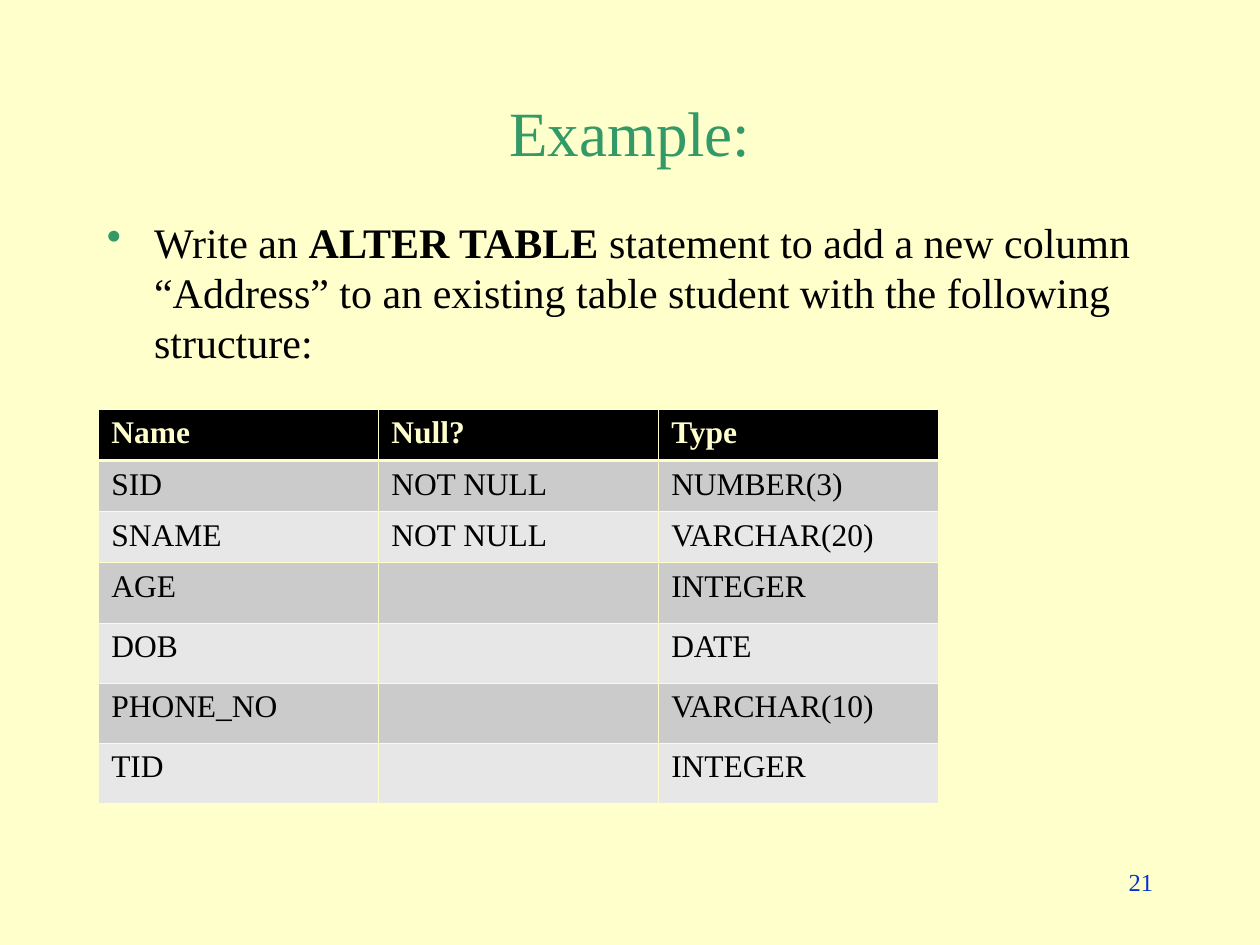
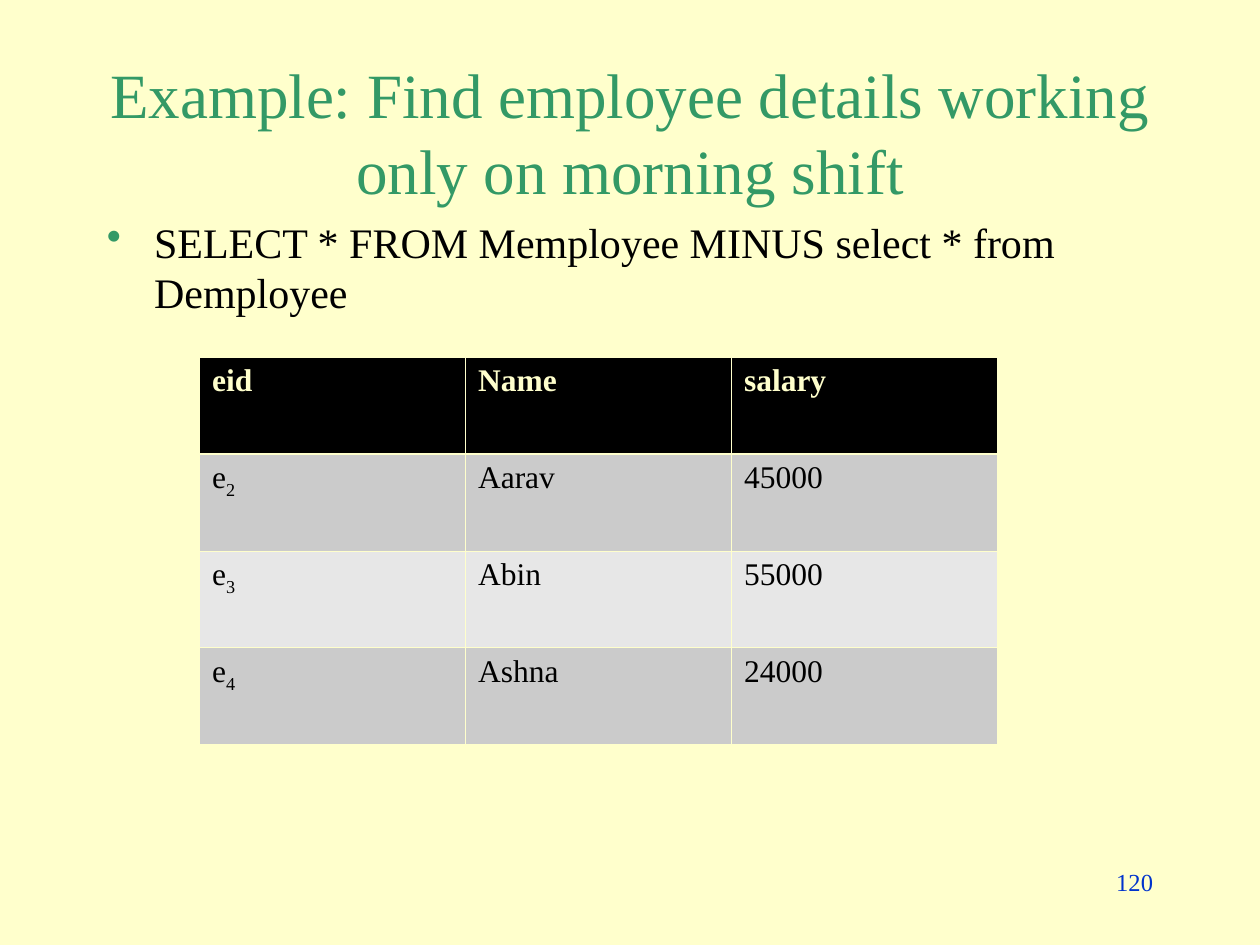
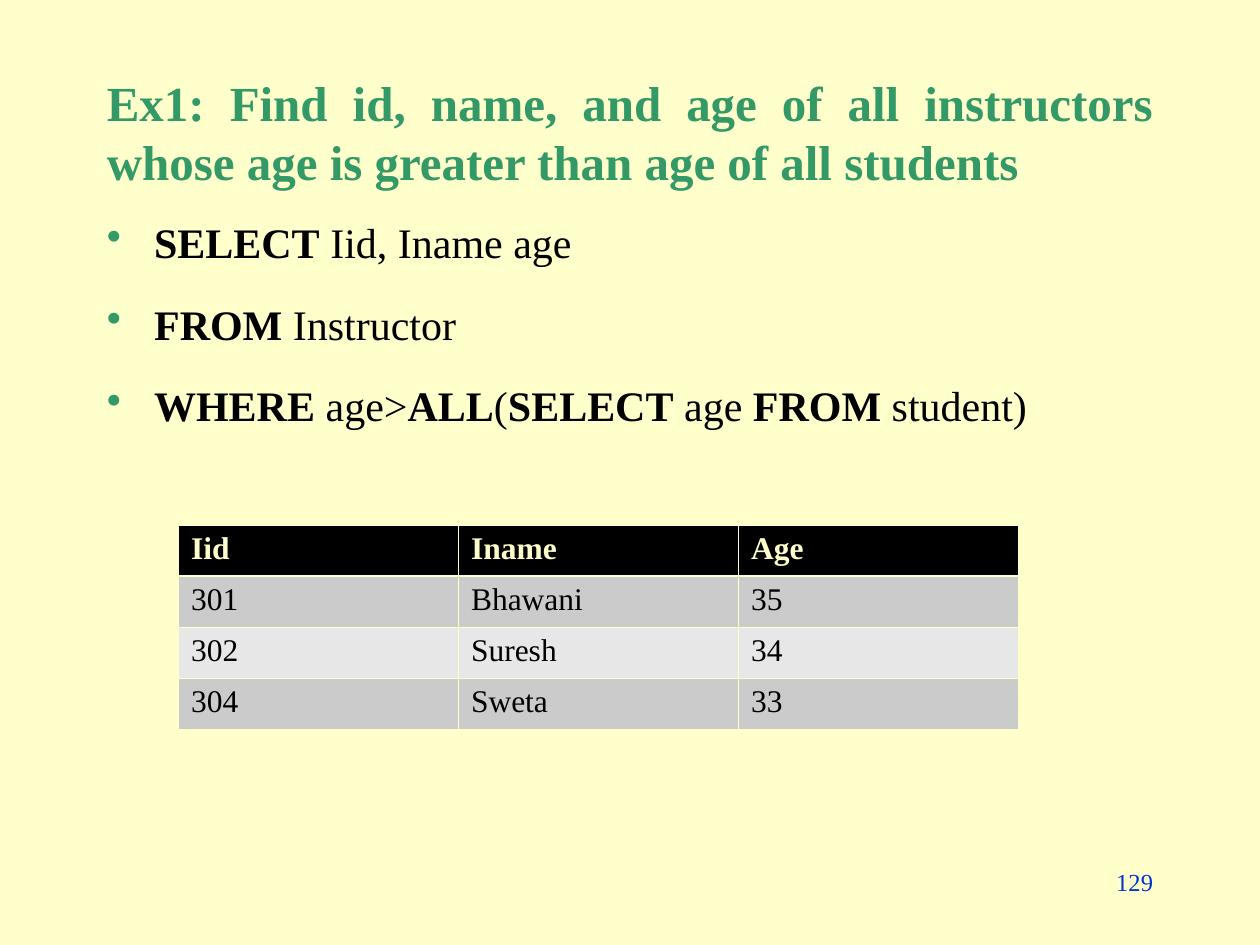
from lxml.etree import SubElement
from pptx import Presentation
from pptx.dml.color import RGBColor
from pptx.enum.text import MSO_ANCHOR, PP_ALIGN
from pptx.oxml import parse_xml
from pptx.oxml.ns import nsdecls, qn
from pptx.util import Pt

# Shared look
FONT = "Times New Roman"
CREAM, GREEN, BLUE, BLACK = "FFFFCC", "339966", "0033CC", "000000"
BAND_FILLS = ("CBCBCB", "E7E7E7")
THIN, THICK = 0.45, 1.47
LINE_HEIGHT = 1.2

# Shared regions: left, top, width, height
TITLE_BOX = (54, 48, 612, 54)
BODY_BOX = (54, 120, 612, 360)
NUMBER_BOX = (516, 492, 150, 36)
BULLET_INDENT = 27

ROW, TALL_ROW = 29.2, 34.4


def color(hex_code):
    return RGBColor.from_string(hex_code)


def write(paragraph, text, size=18, ink=BLACK, bold=False, accent="bold",
          align=PP_ALIGN.LEFT, leading=None):
    """Fill a paragraph; in a tuple, every second part takes the accent."""
    paragraph.alignment = align
    if leading:
        paragraph.line_spacing = Pt(round(size * leading, 1))
    parts = (text,) if isinstance(text, str) else text
    for index, part in enumerate(parts):
        if not part:
            continue
        accented = index % 2 == 1
        run = paragraph.add_run()
        run.text = part
        run.font.name = FONT
        run.font.size = Pt(size)
        run.font.color.rgb = color(ink)
        run.font.bold = bold or (accented and accent == "bold")
        if accented and accent == "subscript":
            run.font._element.set("baseline", "-25000")


def add_frame(slide, box, anchor=MSO_ANCHOR.TOP):
    frame = slide.shapes.add_textbox(*map(Pt, box)).text_frame
    frame.word_wrap = True
    frame.vertical_anchor = anchor
    return frame


def add_bullet(paragraph):
    properties = paragraph._p.get_or_add_pPr()
    properties.set("marL", str(Pt(BULLET_INDENT)))
    properties.set("indent", str(-Pt(BULLET_INDENT)))
    bullet_color = SubElement(properties, qn("a:buClr"))
    SubElement(bullet_color, qn("a:srgbClr")).set("val", GREEN)
    SubElement(properties, qn("a:buChar")).set("char", "•")


def add_title(slide, box, text, **style):
    frame = add_frame(slide, box, MSO_ANCHOR.MIDDLE)
    look = {"size": 36, "align": PP_ALIGN.CENTER, **style}
    write(frame.paragraphs[0], text, ink=GREEN, leading=LINE_HEIGHT, **look)


def add_body(slide, box, lines):
    frame = add_frame(slide, box)
    for index, line in enumerate(lines):
        paragraph = frame.add_paragraph() if index else frame.paragraphs[0]
        write(paragraph, line, size=24, leading=LINE_HEIGHT)
        if index:
            paragraph.space_before = Pt(18)
        add_bullet(paragraph)


def add_number(slide, box, number):
    write(add_frame(slide, box).paragraphs[0], str(number), size=14, ink=BLUE,
          align=PP_ALIGN.RIGHT, leading=LINE_HEIGHT)


def set_borders(cell, **widths):
    properties = cell._tc.get_or_add_tcPr()
    for position, side in enumerate("LRTB"):
        width = Pt(widths.get(side, THIN))
        properties.insert(position, parse_xml(
            f'<a:ln{side} {nsdecls("a")} w="{width}"><a:solidFill>'
            f'<a:srgbClr val="{CREAM}"/></a:solidFill></a:ln{side}>'))


def add_grid(slide, corner, column_width, row_heights, records):
    """Table with a black header row and grey bands below it."""
    columns = len(records[0])
    size = (column_width * columns, sum(row_heights))
    grid = slide.shapes.add_table(
        len(records), columns, *map(Pt, corner + size)).table
    for column in grid.columns:
        column.width = Pt(column_width)
    for r, (record, height) in enumerate(zip(records, row_heights)):
        grid.rows[r].height = Pt(height)
        header = r == 0
        for c, text in enumerate(record):
            cell = grid.cell(r, c)
            cell.fill.solid()
            cell.fill.fore_color.rgb = color(
                BLACK if header else BAND_FILLS[(r - 1) % 2])
            set_borders(cell, T=THICK if r == 1 else THIN,
                        B=THICK if header else THIN)
            write(cell.text_frame.paragraphs[0], text, bold=header,
                  ink=CREAM if header else BLACK, accent="subscript")


def add_example(deck, number, title, lines, title_style, **grid):
    slide = deck.slides.add_slide(deck.slide_layouts[6])
    add_title(slide, TITLE_BOX, title, **title_style)
    add_body(slide, BODY_BOX, lines)
    add_number(slide, NUMBER_BOX, number)
    add_grid(slide, **grid)


def main():
    deck = Presentation()
    deck.slide_width, deck.slide_height = Pt(720), Pt(540)
    background = deck.slide_master.background.fill
    background.solid()
    background.fore_color.rgb = color(CREAM)

    # Adding a column
    add_example(
        deck, 21, "Example:",
        [("Write an ", "ALTER TABLE ",
          "statement to add a new column “Address” to an existing table "
          "student with the following structure:")],
        {},
        corner=(56.4, 234), column_width=160,
        row_heights=[ROW] * 3 + [TALL_ROW] * 4,
        records=[("Name", "Null?", "Type"),
                 ("SID", "NOT NULL", "NUMBER(3)"),
                 ("SNAME", "NOT NULL", "VARCHAR(20)"),
                 ("AGE", "", "INTEGER"),
                 ("DOB", "", "DATE"),
                 ("PHONE_NO", "", "VARCHAR(10)"),
                 ("TID", "", "INTEGER")])

    # Set difference
    add_example(
        deck, 120,
        "Example: Find employee details working only on morning shift",
        ["SELECT * FROM Memployee MINUS select * from Demployee"],
        {},
        corner=(114, 204), column_width=152, row_heights=[55.4] * 4,
        records=[("eid", "Name", "salary"),
                 (("e", "2"), "Aarav", "45000"),
                 (("e", "3"), "Abin", "55000"),
                 (("e", "4"), "Ashna", "24000")])

    # Comparison with ALL
    add_example(
        deck, 129,
        "Ex1: Find id, name, and age of all instructors whose age is "
        "greater than age of all students",
        [("", "SELECT", " Iid, Iname age"),
         ("", "FROM", " Instructor"),
         ("", "WHERE ", "age>", "ALL", "(", "SELECT", " age ", "FROM",
          " student)")],
        {"size": 28, "bold": True, "align": PP_ALIGN.JUSTIFY},
        corner=(102, 300), column_width=160, row_heights=[ROW] * 4,
        records=[("Iid", "Iname", "Age"),
                 ("301", "Bhawani", "35"),
                 ("302", "Suresh", "34"),
                 ("304", "Sweta", "33")])

    deck.save("out.pptx")


if __name__ == "__main__":
    main()
